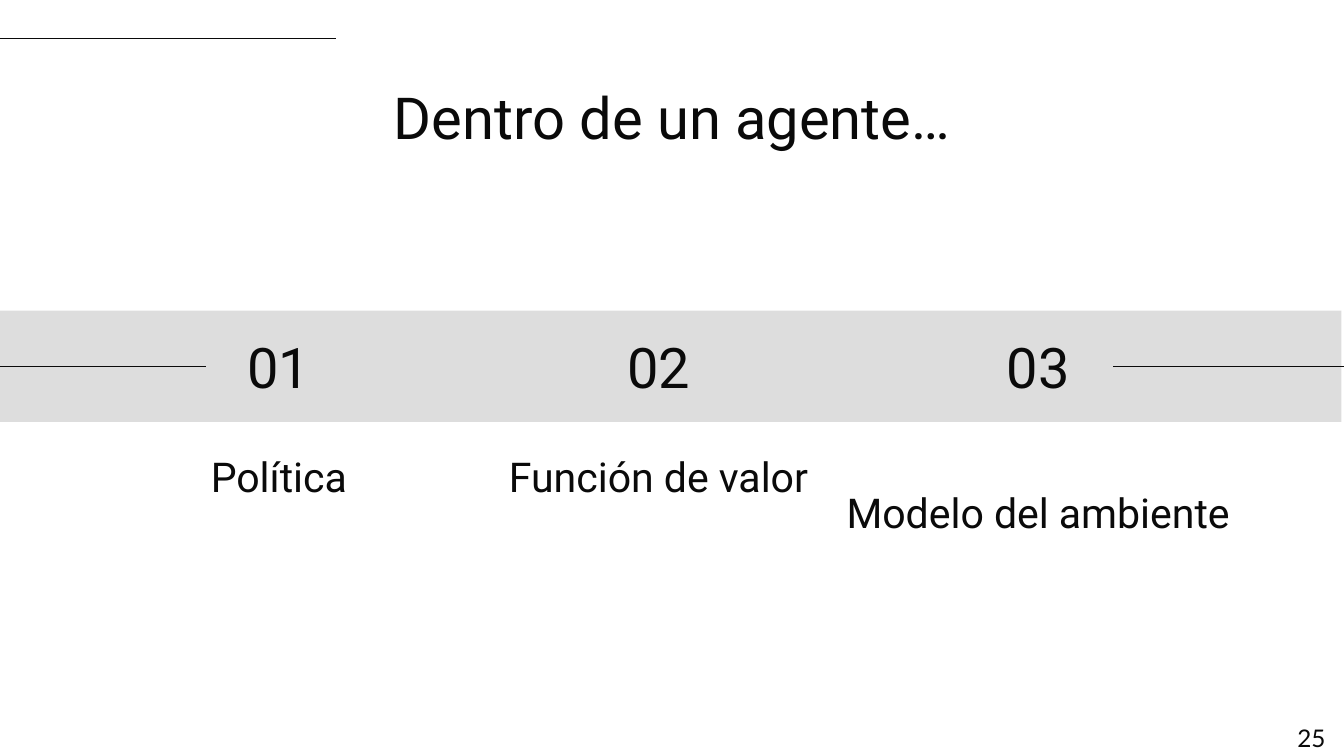
from dataclasses import dataclass

from pptx import Presentation
from pptx.dml.color import RGBColor
from pptx.enum.shapes import MSO_CONNECTOR, MSO_SHAPE
from pptx.enum.text import MSO_ANCHOR, MSO_AUTO_SIZE, PP_ALIGN
from pptx.oxml.ns import qn
from pptx.shapes.base import BaseShape
from pptx.slide import Slide
from pptx.util import Pt
from lxml.etree import SubElement

COLORS = {"ink": "0A0A0A", "band": "DDDDDD"}
INSET = 7.2
FIRST, STEP = 149.4, 203.4  # centre of the first column, column distance


@dataclass
class Part:
    name: str
    width: float
    height: float


@dataclass
class Rule:
    start: float
    end: float
    y: float


PARTS = [
    Part("Política", 188.6, 41),
    Part("Función de valor", 188.6, 41),
    Part("Modelo del ambiente", 225.4, 59.8),
]
TOP_RULE = Rule(0, 180, 20.7)
SIDE_RULES = [Rule(110.2, -19.4, 196.4), Rule(739.4, 596.2, 196.4)]


def color(name: str) -> RGBColor:
    return RGBColor.from_string(COLORS[name])


def write(shape: BaseShape, text: str, size: float, font: str = "Roboto",
          align: PP_ALIGN = PP_ALIGN.CENTER,
          anchor: MSO_ANCHOR = MSO_ANCHOR.TOP, after: float = 0) -> None:
    frame = shape.text_frame
    frame.text = text
    frame.word_wrap = True
    frame.auto_size = MSO_AUTO_SIZE.NONE
    frame.vertical_anchor = anchor
    frame.margin_left = frame.margin_right = Pt(INSET)
    frame.margin_top = frame.margin_bottom = Pt(INSET)
    line = frame.paragraphs[0]
    line.alignment = align
    line.space_before = Pt(0)
    line.space_after = Pt(after)
    face = line.runs[0].font
    face.name = font
    face.size = Pt(size)
    face.color.rgb = color("ink")


def add_box(slide: Slide, left: float, top: float, width: float,
            height: float) -> BaseShape:
    return slide.shapes.add_textbox(Pt(left), Pt(top), Pt(width), Pt(height))


def add_rule(slide: Slide, rule: Rule) -> None:
    line = slide.shapes.add_connector(
        MSO_CONNECTOR.STRAIGHT,
        Pt(rule.start), Pt(rule.y), Pt(rule.end), Pt(rule.y))
    line.line.color.rgb = color("ink")
    line.line.width = Pt(0.75)
    SubElement(line.element.spPr, qn("a:effectLst"))


def add_band(slide: Slide) -> None:
    band = slide.shapes.add_shape(
        MSO_SHAPE.RECTANGLE, Pt(-1.4), Pt(166.4), Pt(720), Pt(59.6))
    band.shadow.inherit = False
    band.fill.solid()
    band.fill.fore_color.rgb = color("band")
    band.line.fill.background()


def add_title(slide: Slide, text: str) -> None:
    title = slide.shapes.title
    title.left, title.top = Pt(56.2), Pt(36.7)
    title.width, title.height = Pt(607.6), Pt(43.2)
    write(title, text, 31)


def add_part(slide: Slide, index: int, part: Part) -> None:
    """Add a number on the band and its label below, on one centre."""
    mid = FIRST + index * STEP
    label = add_box(slide, mid - part.width / 2, 234.7, part.width, part.height)
    write(label, part.name, 22, anchor=MSO_ANCHOR.BOTTOM, after=16)
    number = add_box(slide, mid - 39.6, 175.7, 79.2, 41)
    write(number, f"{index + 1:02}", 30, anchor=MSO_ANCHOR.MIDDLE, after=16)


def main() -> None:
    deck = Presentation()
    deck.slide_width, deck.slide_height = Pt(720), Pt(405)
    slide = deck.slides.add_slide(deck.slide_layouts[5])
    add_rule(slide, TOP_RULE)
    add_band(slide)
    for rule in SIDE_RULES:
        add_rule(slide, rule)
    add_title(slide, "Dentro de un agente…")
    for index, part in enumerate(PARTS):
        add_part(slide, index, part)
    page = add_box(slide, 673.9, 380.2, 43.2, 31)
    write(page, "25", 13, font="Lato", align=PP_ALIGN.RIGHT)
    deck.save("out.pptx")


if __name__ == "__main__":
    main()
